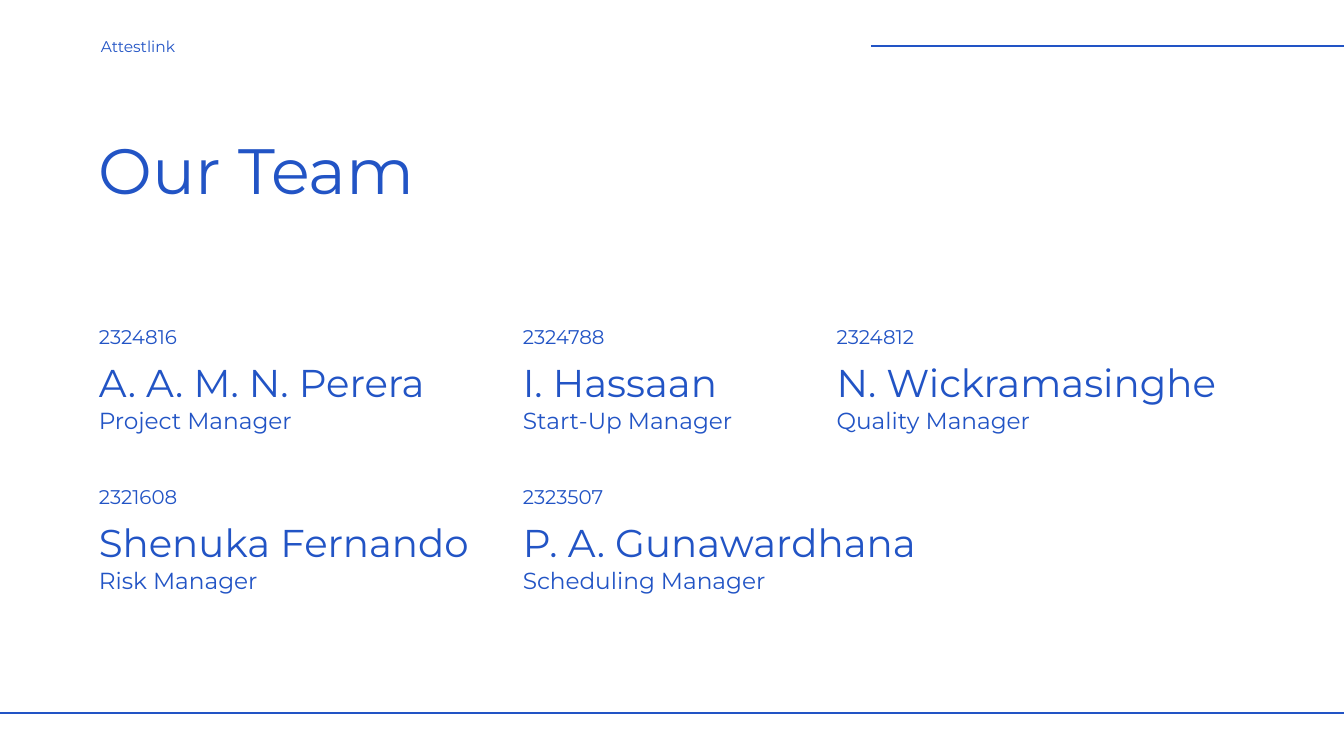
from dataclasses import dataclass

from lxml import etree
from pptx import Presentation
from pptx.dml.color import RGBColor
from pptx.enum.shapes import MSO_CONNECTOR
from pptx.enum.text import MSO_ANCHOR, MSO_AUTO_SIZE, PP_ALIGN
from pptx.oxml.ns import qn
from pptx.util import Emu, Pt

STRAIGHT = MSO_CONNECTOR.STRAIGHT
TOP = MSO_ANCHOR.TOP
LEFT = PP_ALIGN.LEFT
GROW = MSO_AUTO_SIZE.SHAPE_TO_FIT_TEXT
SCALE = 9144  # 100 px to the inch
TITLE_ONLY = 5


@dataclass(frozen=True)
class Style:
    size: float
    lead: float


@dataclass(frozen=True)
class Theme:
    font: str = "Montserrat"
    blue: RGBColor = RGBColor(0x22, 0x54, 0xC5)
    white: RGBColor = RGBColor(0xFF, 0xFF, 0xFF)
    title: Style = Style(68.6, 96.1)
    label: Style = Style(16.6, 23.2)
    code: Style = Style(21.2, 29.7)
    name: Style = Style(41.5, 58.2)
    role: Style = Style(24.9, 34.9)


@dataclass(frozen=True)
class Box:
    x: int
    y: int
    w: int
    h: int


@dataclass(frozen=True)
class Member:
    col: int
    row: int
    code: str
    name: str
    role: str
    width: int


@dataclass(frozen=True)
class Rule:
    x: int
    y: int
    weight: float


THEME = Theme()
WIDTH, HEIGHT = 2000, 1125
COLS = (147, 778, 1245)
ROWS = (477, 716)
TEAM = (
    Member(0, 0, "2324816", "A. A. M. N. Perera", "Project Manager", 539),
    Member(1, 0, "2324788", "I. Hassaan", "Start-Up Manager", 373),
    Member(2, 0, "2324812", "N. Wickramasinghe", "Quality Manager", 644),
    Member(0, 1, "2321608", "Shenuka Fernando", "Risk Manager", 589),
    Member(1, 1, "2323507", "P. A. Gunawardhana", "Scheduling Manager", 666),
)
RULES = (Rule(0, 1061, 3), Rule(1296, 69, 2.25))


def px(n: int) -> Emu:
    return Emu(n * SCALE)


def write(shape, box: Box, text: str, style: Style) -> None:
    """Place a text shape and set its single line."""
    shape.left, shape.top = px(box.x), px(box.y)
    shape.width, shape.height = px(box.w), px(box.h)
    frame = shape.text_frame
    frame.margin_left = frame.margin_right = 0
    frame.margin_top = frame.margin_bottom = 0
    frame.word_wrap = True
    frame.auto_size = GROW
    frame.vertical_anchor = TOP
    para = frame.paragraphs[0]
    para.alignment = LEFT
    para.line_spacing = Pt(style.lead)
    para.space_before = Pt(0)
    run = para.add_run()
    run.text = text
    run.font.name = THEME.font
    run.font.size = Pt(style.size)
    run.font.color.rgb = THEME.blue


def label(slide, box: Box, text: str, style: Style) -> None:
    write(slide.shapes.add_textbox(0, 0, 0, 0), box, text, style)


def draw_rule(slide, rule: Rule) -> None:
    """Draw a level line out to the right edge."""
    line = slide.shapes.add_connector(
        STRAIGHT, px(rule.x), px(rule.y), px(WIDTH), px(rule.y))
    line.line.color.rgb = THEME.blue
    line.line.width = Pt(rule.weight)
    etree.SubElement(line._element.spPr, qn("a:effectLst"))


def draw_member(slide, who: Member) -> None:
    x, y = COLS[who.col], ROWS[who.row]
    label(slide, Box(x, y, 326, 39), who.code, THEME.code)
    label(slide, Box(x, y + 45, who.width, 78), who.name, THEME.name)
    label(slide, Box(x, y + 120, 373, 46), who.role, THEME.role)


def main() -> None:
    deck = Presentation()
    deck.slide_width, deck.slide_height = px(WIDTH), px(HEIGHT)
    slide = deck.slides.add_slide(deck.slide_layouts[TITLE_ONLY])
    fill = slide.background.fill
    fill.solid()
    fill.fore_color.rgb = THEME.white

    # Rules
    for rule in RULES:
        draw_rule(slide, rule)

    # Heading
    write(slide.shapes.title, Box(147, 175, 1050, 128), "Our Team", THEME.title)
    label(slide, Box(150, 50, 187, 31), "Attestlink", THEME.label)

    # Team grid
    for who in TEAM:
        draw_member(slide, who)

    deck.save("out.pptx")


if __name__ == "__main__":
    main()
